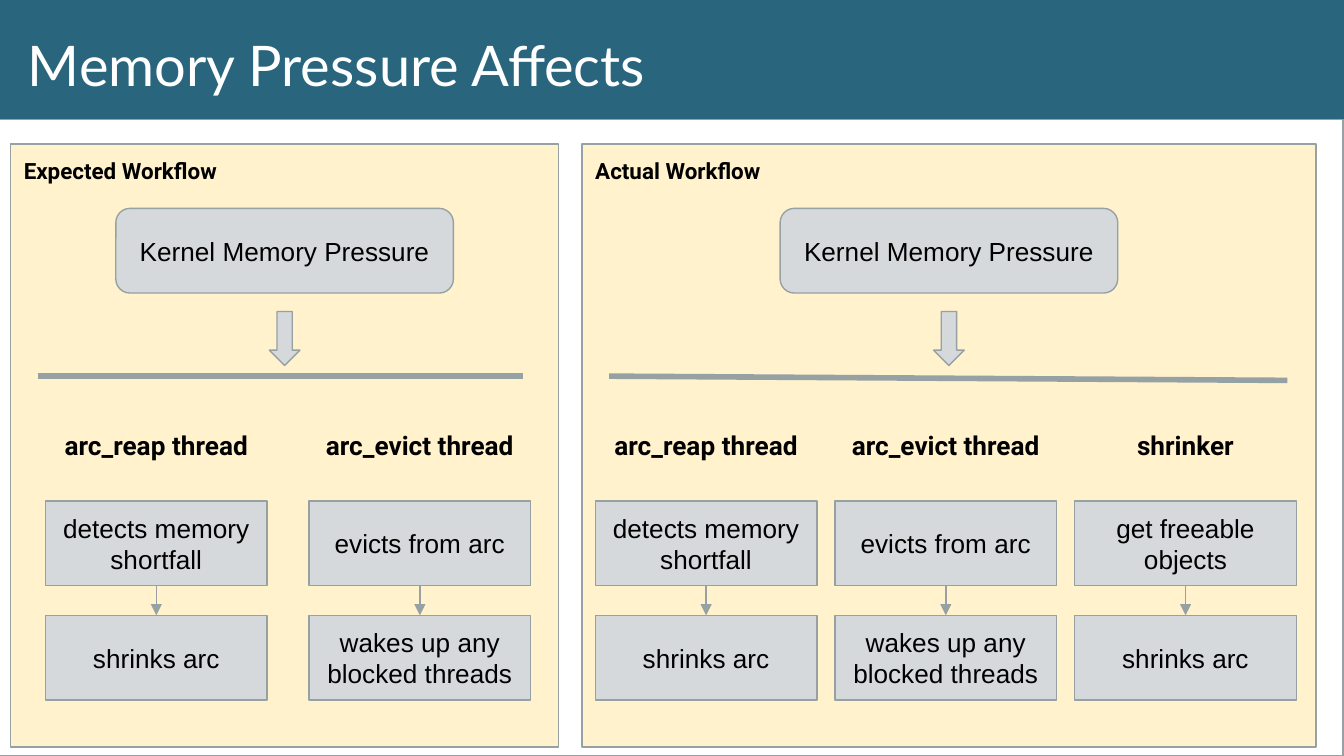
from lxml import etree
from pptx import Presentation
from pptx.dml.color import RGBColor
from pptx.enum.shapes import MSO_CONNECTOR, MSO_SHAPE
from pptx.enum.text import MSO_ANCHOR, PP_ALIGN
from pptx.oxml.ns import qn
from pptx.util import Cm, Pt

RECTANGLE = MSO_SHAPE.RECTANGLE
ROUNDED = MSO_SHAPE.ROUNDED_RECTANGLE
DOWN_ARROW = MSO_SHAPE.DOWN_ARROW
STRAIGHT = MSO_CONNECTOR.STRAIGHT
TOP, MIDDLE = MSO_ANCHOR.TOP, MSO_ANCHOR.MIDDLE
LEFT, CENTER = PP_ALIGN.LEFT, PP_ALIGN.CENTER

COLORS = {
    "background": "29667E",
    "white": "FFFFFF",
    "panel": "FFF2CC",
    "box": "D5D9DB",
    "line": "96A1A4",
    "text": "000000",
}
COLORS = {name: RGBColor.from_string(value) for name, value in COLORS.items()}

PANEL_TOP, PANEL_HEIGHT = 2.72, 11.4
BOX_WIDTH, BOX_HEIGHT = 4.19, 1.6
KERNEL_WIDTH, ARROW_WIDTH = 6.38, 0.58
STEP_TOPS = (9.47, 11.63)

REAP = ("arc_reap thread", "detects memory shortfall", "shrinks arc")
EVICT = ("arc_evict thread", "evicts from arc", "wakes up any blocked threads")
SHRINKER = ("shrinker", "get freeable objects", "shrinks arc")
WORKFLOWS = [
    {"title": "Expected Workflow", "left": 0.2, "width": 10.36,
     "divider": (0.71, 7.11, 9.88, 7.11),
     "first_column": 0.86, "column_step": 4.98, "threads": (REAP, EVICT)},
    {"title": "Actual Workflow", "left": 11, "width": 13.87,
     "divider": (11.51, 7.11, 24.33, 7.19),
     "first_column": 11.25, "column_step": 4.53, "threads": (REAP, EVICT, SHRINKER)},
]

presentation = Presentation()
presentation.slide_width, presentation.slide_height = Cm(25.4), Cm(14.29)
slide = presentation.slides.add_slide(presentation.slide_layouts[6])
slide.background.fill.solid()
slide.background.fill.fore_color.rgb = COLORS["background"]


def add_block(position, kind=None, fill="box", text="", size=14, font="Arial",
              color="text", bold=False, align=CENTER, anchor=MIDDLE):
    """Add a filled shape, or a plain text box when kind is None."""
    lengths = [Cm(value) for value in position]
    if kind is None:
        shape = slide.shapes.add_textbox(*lengths)
    else:
        shape = slide.shapes.add_shape(kind, *lengths)
        shape.shadow.inherit = False
        shape.fill.solid()
        shape.fill.fore_color.rgb = COLORS[fill]
        shape.line.color.rgb = COLORS["line"]
        shape.line.width = Pt(0.75)
    if text:
        frame = shape.text_frame
        frame.word_wrap = True
        frame.vertical_anchor = anchor
        frame.margin_left = frame.margin_right = Cm(0.25)
        frame.margin_top = frame.margin_bottom = Cm(0.25)
        paragraph = frame.paragraphs[0]
        paragraph.alignment = align
        run = paragraph.add_run()
        run.text = text
        run.font.size, run.font.name, run.font.bold = Pt(size), font, bold
        run.font.color.rgb = COLORS[color]


def add_line(ends, width, arrowhead=False):
    connector = slide.shapes.add_connector(STRAIGHT, *[Cm(value) for value in ends])
    connector.line.color.rgb = COLORS["line"]
    connector.line.width = Pt(width)
    if arrowhead:
        etree.SubElement(connector.line._get_or_add_ln(), qn("a:tailEnd"), type="triangle")
    etree.SubElement(connector._element.spPr, qn("a:effectLst"))


add_block((-0.2, 2.26, 25.58, 12.03), RECTANGLE, "white")
add_block((0.28, 0.33, 24.84, 1.6), text="Memory Pressure Affects", size=30,
          font="Lato", color="white", align=LEFT, anchor=TOP)

for workflow in WORKFLOWS:
    left, width = workflow["left"], workflow["width"]
    center = left + width / 2
    add_block((left, PANEL_TOP, width, PANEL_HEIGHT), RECTANGLE, "panel")
    add_block((left, PANEL_TOP, BOX_WIDTH, 1.02), text=workflow["title"], size=12,
              font="Roboto", bold=True, align=LEFT, anchor=TOP)
    add_block((center - KERNEL_WIDTH / 2, 3.94, KERNEL_WIDTH, BOX_HEIGHT), ROUNDED,
              text="Kernel Memory Pressure")
    add_block((center - ARROW_WIDTH / 2, 5.89, ARROW_WIDTH, 1.02), DOWN_ARROW)
    add_line(workflow["divider"], 3)

    for column, (heading, *steps) in enumerate(workflow["threads"]):
        box_left = workflow["first_column"] + column * workflow["column_step"]
        add_block((box_left, 7.87, BOX_WIDTH, 0.81), text=heading,
                  font="Roboto", bold=True, anchor=TOP)
        for top, step in zip(STEP_TOPS, steps):
            add_block((box_left, top, BOX_WIDTH, BOX_HEIGHT), RECTANGLE, text=step)
        middle = box_left + BOX_WIDTH / 2
        add_line((middle, STEP_TOPS[0] + BOX_HEIGHT, middle, STEP_TOPS[1]), 0.75, True)

presentation.save("out.pptx")
